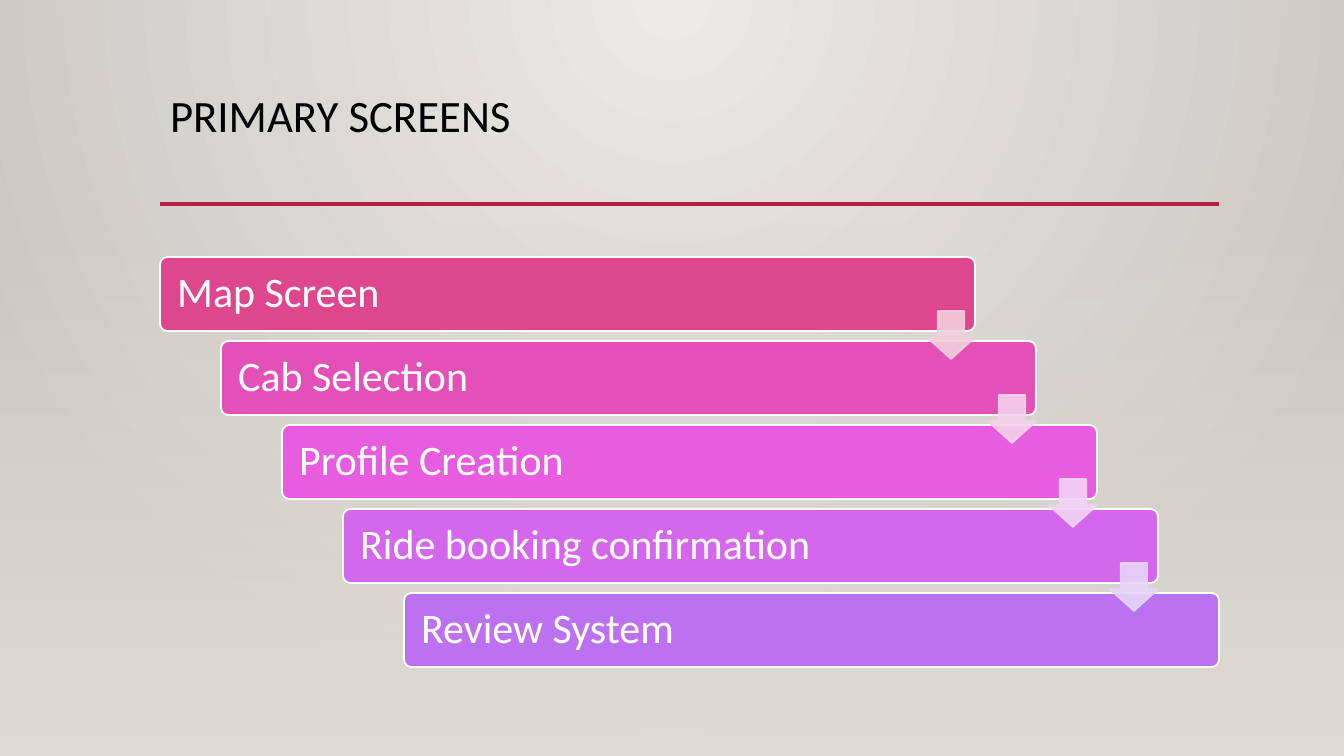
import pptx
import pptx.util
import pptx.dml.color
import pptx.enum.shapes
import pptx.enum.text
import pptx.oxml
import pptx.oxml.ns
from lxml import etree

TITLE = "PRIMARY SCREENS"
# text, bar colour, colour of the arrow to the next bar
STEPS = [
    ("Map Screen", "DE478E", "F2CFDB"),
    ("Cab Selection", "E351B8", "F5D1EB"),
    ("Profile Creation", "E85CE0", "F3D3F7"),
    ("Ride booking confirmation", "D467EC", "E7D5F9"),
    ("Review System", "BC72F0", None),
]
WIDE, HIGH = 1344, 756
LEFT, RIGHT, RULE = 160, 1219, 204
TOP, BAR_W, BAR_H, GAP = 257, 815, 74, 10
ARROW, DROP = 48, 54

SHAPE = pptx.enum.shapes.MSO_SHAPE
ANCHOR = pptx.enum.text.MSO_ANCHOR
qn = pptx.oxml.ns.qn


def px(n):
    return round(n * 914400 / 100.8)


def rgb(hexa):
    return pptx.dml.color.RGBColor.from_string(hexa)


def fade(node, percent):
    """Set the opacity of every colour under node."""
    for clr in node.iter(qn("a:srgbClr")):
        etree.SubElement(clr, qn("a:alpha"), val=str(percent * 1000))


def blend(fill, first, last):
    fill.gradient()
    fill.gradient_angle = 270
    for stop, hexa, pos in zip(fill.gradient_stops, (first, last), (0, 1)):
        stop.color.rgb = rgb(hexa)
        stop.position = pos


def block(kind, x, y, w, h, color=None, line=None):
    part = slide.shapes.add_shape(kind, px(x), px(y), px(w), px(h))
    part.shadow.inherit = False
    if color:
        part.fill.solid()
        part.fill.fore_color.rgb = rgb(color)
    if line:
        part.line.color.rgb = rgb(line)
        part.line.width = pptx.util.Pt(1.25)
    else:
        part.line.fill.background()
    return part


def write(part, text, size=30, color="FFFFFF", anchor=ANCHOR.MIDDLE, pad=15):
    frame = part.text_frame
    frame.word_wrap = True
    frame.vertical_anchor = anchor
    frame.margin_left = frame.margin_right = px(pad)
    frame.margin_top = frame.margin_bottom = px(5)
    para = frame.paragraphs[0]
    para.alignment = pptx.enum.text.PP_ALIGN.LEFT
    para.line_spacing = 0.9
    run = para.add_run()
    run.text = text
    run.font.name = "Calibri"
    run.font.size = pptx.util.Pt(size)
    run.font.color.rgb = rgb(color)


deck = pptx.Presentation()
deck.slide_width, deck.slide_height = px(WIDE), px(HIGH)
slide = deck.slides.add_slide(deck.slide_layouts[6])

# Radial background, brightest at the top centre
blend(slide.background.fill, "ECEAE7", "CAC7C1")
glow = next(slide.element.iter(qn("a:gradFill")))
glow.remove(glow.find(qn("a:lin")))
ring = etree.SubElement(glow, qn("a:path"))
ring.set("path", "circle")
etree.SubElement(ring, qn("a:fillToRect"), l="43000", t="0", r="43000", b="100000")

# Haze that thickens towards the bottom
haze = block(SHAPE.RECTANGLE, 0, 223, WIDE, HIGH - 223)
blend(haze.fill, "DFDBD5", "DFDBD5")
fade(next(haze.element.iter(qn("a:gs"))), 0)

# Title and rule
title = slide.shapes.add_textbox(px(LEFT), px(89), px(RIGHT - LEFT), px(115))
write(title, TITLE, size=32, color="000000", anchor=ANCHOR.TOP, pad=10)
rule = slide.shapes.add_connector(
    pptx.enum.shapes.MSO_CONNECTOR.STRAIGHT, px(LEFT), px(RULE), px(RIGHT), px(RULE))
rule.line.color.rgb = rgb("B71E42")
rule.line.width = pptx.util.Pt(2.5)
etree.SubElement(rule.element.spPr, qn("a:effectLst"))

# Staircase of bars
shift = (RIGHT - LEFT - BAR_W) / (len(STEPS) - 1)
spots = [(LEFT + i * shift, TOP + i * (BAR_H + GAP)) for i in range(len(STEPS))]
for (x, y), (text, color, _) in zip(spots, STEPS):
    bar = block(SHAPE.ROUNDED_RECTANGLE, x, y, BAR_W, BAR_H, color, "FFFFFF")
    bar.adjustments[0] = 0.1
    write(bar, text)

# Arrows over the right end of each bar
for (x, y), (_, _, color) in zip(spots, STEPS):
    if color:
        arrow = block(SHAPE.DOWN_ARROW, x + BAR_W - ARROW, y + DROP,
                      ARROW, ARROW, color, color)
        arrow.adjustments[0] = 0.55
        arrow.adjustments[1] = 0.45
        fade(arrow.element.spPr, 90)

deck.save("out.pptx")
